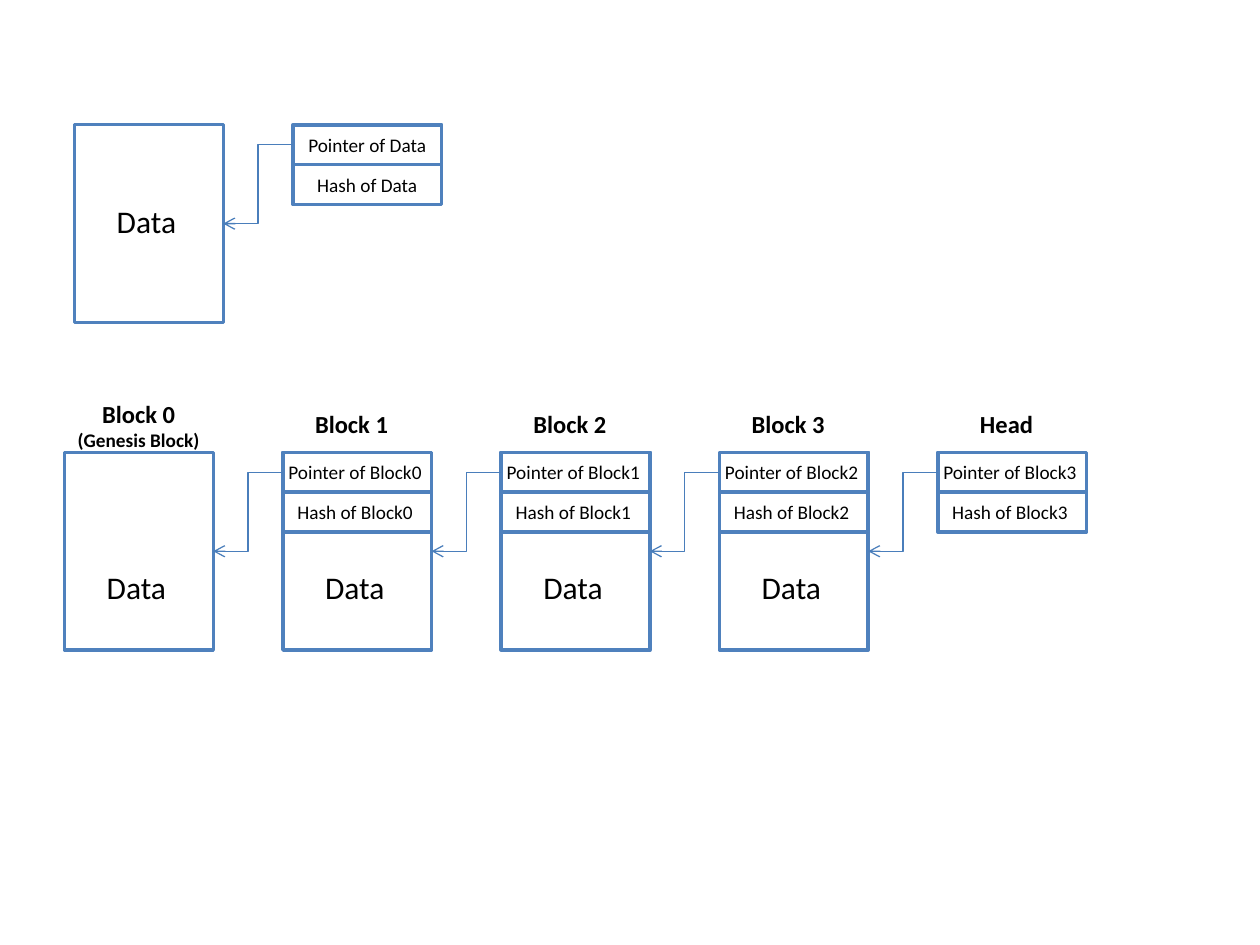
from lxml.etree import SubElement
from pptx import Presentation
from pptx.dml.color import RGBColor
from pptx.enum.shapes import MSO_CONNECTOR, MSO_SHAPE
from pptx.enum.text import MSO_ANCHOR, MSO_AUTO_SIZE, PP_ALIGN
from pptx.oxml.ns import qn
from pptx.util import Pt

COLORS = {"fill": "FFFFFF", "border": "4F81BD", "arrow": "4A7EBB", "text": "000000"}
FONT = "Calibri"

# Block geometry in points
BLOCK_W, BLOCK_H = 85, 113
ROW_H = 22.75
PITCH = 124.75
CHAIN_X, CHAIN_Y = 36.9, 258.5
SINGLE_X, SINGLE_Y = 42.6, 71.3


def rgb(name):
    return RGBColor.from_string(COLORS[name])


def write(tf, text, size=11, bold=False, align=PP_ALIGN.LEFT, new=False):
    p = tf.add_paragraph() if new else tf.paragraphs[0]
    p.alignment = align
    r = p.add_run()
    r.text = text
    r.font.name, r.font.size, r.font.bold = FONT, Pt(size), bold
    r.font.color.rgb = rgb("text")


def add_box(slide, x, y, h, text=None):
    sp = slide.shapes.add_shape(MSO_SHAPE.RECTANGLE, Pt(x), Pt(y), Pt(BLOCK_W), Pt(h))
    sp.shadow.inherit = False
    sp.fill.solid()
    sp.fill.fore_color.rgb = rgb("fill")
    sp.line.color.rgb = rgb("border")
    sp.line.width = Pt(2)
    if text:
        tf = sp.text_frame
        tf.margin_left = tf.margin_right = Pt(3)
        tf.vertical_anchor = MSO_ANCHOR.MIDDLE
        write(tf, text, align=PP_ALIGN.CENTER)
    return sp


def add_label(slide, x, y, w, h, text, **fmt):
    tf = slide.shapes.add_textbox(Pt(x), Pt(y), Pt(w), Pt(h)).text_frame
    tf.word_wrap = True
    tf.auto_size = MSO_AUTO_SIZE.SHAPE_TO_FIT_TEXT
    write(tf, text, **fmt)
    return tf


def add_data(slide, x, y, text_dy):
    body = add_box(slide, x, y, BLOCK_H)
    add_label(slide, x + 17, y + text_dy, 51, 29, "Data", size=18)
    return body


def add_hash_pointer(slide, x, y, target):
    """Stack the pointer and hash rows; return the pointer row."""
    pointer = add_box(slide, x, y, ROW_H, f"Pointer of {target}")
    add_box(slide, x, y + ROW_H, ROW_H, f"Hash of {target}")
    return pointer


def add_arrow(slide, pointer, body):
    c = slide.shapes.add_connector(MSO_CONNECTOR.ELBOW, 0, 0, 0, 0)
    c.begin_connect(pointer, 1)
    c.end_connect(body, 3)
    c.line.color.rgb = rgb("arrow")
    c.line.width = Pt(0.75)
    SubElement(c.line._get_or_add_ln(), qn("a:tailEnd"), type="arrow")
    SubElement(c._element.spPr, qn("a:effectLst"))


def add_single(slide):
    body = add_data(slide, SINGLE_X, SINGLE_Y, 40.5)
    pointer = add_hash_pointer(slide, SINGLE_X + PITCH, SINGLE_Y, "Data")
    add_arrow(slide, pointer, body)


def add_chain(slide):
    # Genesis block
    body = add_data(slide, CHAIN_X, CHAIN_Y, 62.5)
    center = PP_ALIGN.CENTER
    tf = add_label(slide, CHAIN_X - 5.9, 224.6, 96.5, 37.4, "Block 0",
                   size=14, bold=True, align=center)
    write(tf, "(Genesis Block)", bold=True, align=center, new=True)

    # Following blocks, each pointing to the one before
    for i in range(1, 4):
        x = CHAIN_X + i * PITCH
        previous, body = body, add_data(slide, x, CHAIN_Y, 62.5)
        pointer = add_hash_pointer(slide, x, CHAIN_Y, f"Block{i - 1} ")
        add_label(slide, x + 11.3, 230.3, 62.5, 24.3, f"Block {i}", size=14, bold=True)
        add_arrow(slide, pointer, previous)

    # Head
    x = CHAIN_X + 4 * PITCH
    pointer = add_hash_pointer(slide, x, CHAIN_Y, "Block3 ")
    add_label(slide, x + 17, 230.3, 73.5, 24.3, "Head", size=14, bold=True)
    add_arrow(slide, pointer, body)


def main():
    prs = Presentation()
    prs.slide_width, prs.slide_height = Pt(720), Pt(540)
    slide = prs.slides.add_slide(prs.slide_layouts[6])
    add_single(slide)
    add_chain(slide)
    prs.save("out.pptx")


if __name__ == "__main__":
    main()
